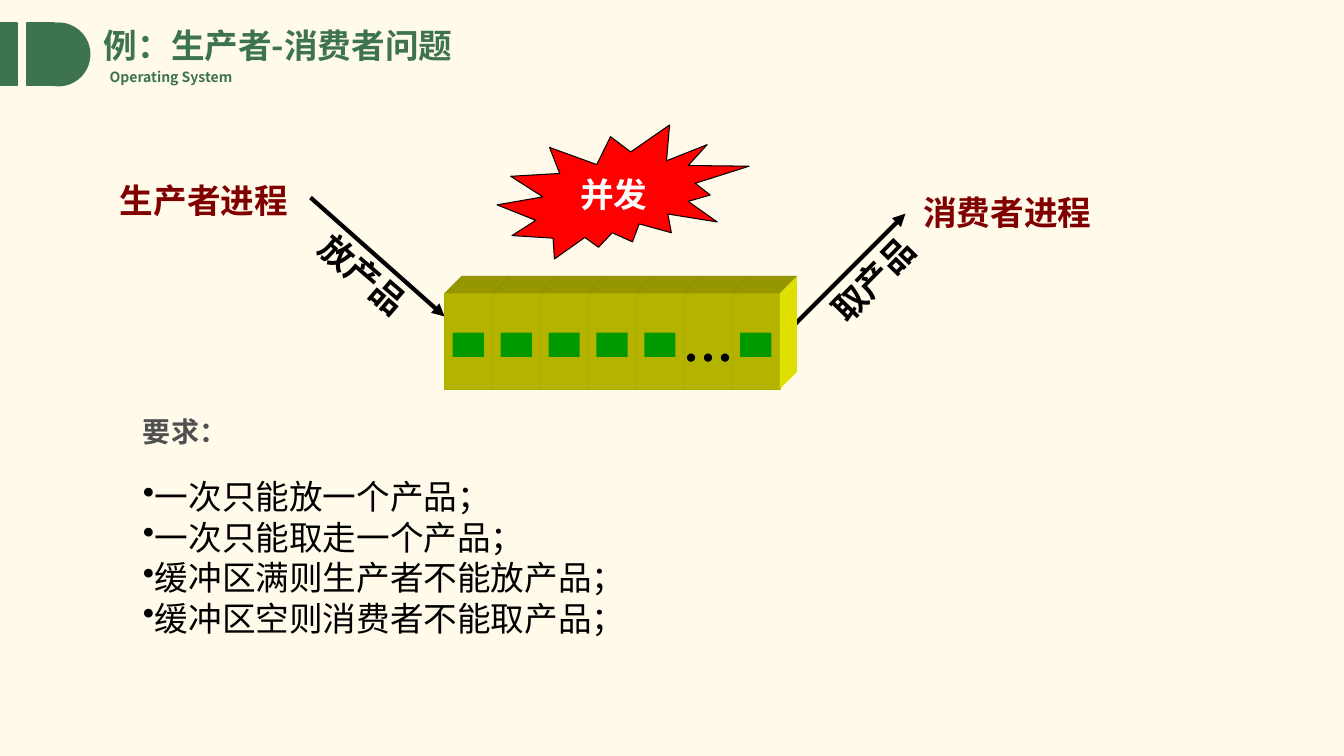
from pptx import Presentation
from pptx import util as u
from pptx.dml.color import RGBColor
from pptx.enum import shapes, text
from pptx.oxml.ns import qn
from lxml import etree

GREEN, BLACK, MAROON = "3D7351", "000000", "800000"
SANS, SERIF = "Noto Sans CJK SC", "Times New Roman"
KIND = shapes.MSO_SHAPE
LEFT, TOP, CELL, HIGH, DEPTH, COUNT = 4.41, 2.91, 0.475, 0.95, 0.17, 7
GAP = 5


def color(code):
    return RGBColor.from_string(code)


def paint(shape, fill, line=None, width=0.75):
    shape.shadow.inherit = False
    shape.fill.solid()
    shape.fill.fore_color.rgb = color(fill)
    if line:
        shape.line.color.rgb = color(line)
        shape.line.width = u.Pt(width)
    else:
        shape.line.fill.background()
    return shape


def block(slide, kind, box, fill, line=None, width=0.75):
    shape = slide.shapes.add_shape(kind, *map(u.Inches, box))
    return paint(shape, fill, line, width)


def face(slide, points, fill, line=None):
    """Draw a closed polygon."""
    spots = [(u.Inches(x), u.Inches(y)) for x, y in points]
    build = slide.shapes.build_freeform(*spots[0])
    build.add_line_segments(spots[1:], close=True)
    return paint(build.convert_to_shape(), fill, line, 0.25)


def write(para, words, size, font, code, bold=True):
    run = para.add_run()
    run.text = words
    run.font.size, run.font.name, run.font.bold = u.Pt(size), font, bold
    run.font.color.rgb = color(code)


def fill_in(shape, words, size, font, code, align=None, wrap=False):
    """Put one line of text in the middle of a shape."""
    frame = shape.text_frame
    frame.word_wrap = wrap
    frame.vertical_anchor = text.MSO_ANCHOR.MIDDLE
    para = frame.paragraphs[0]
    para.alignment = align
    write(para, words, size, font, code)


def label(slide, box, words, size, font, code, turn=0):
    shape = slide.shapes.add_textbox(*map(u.Inches, box))
    shape.rotation = turn
    fill_in(shape, words, size, font, code)


def arrow(slide, *ends):
    line = slide.shapes.add_connector(
        shapes.MSO_CONNECTOR.STRAIGHT, *map(u.Inches, ends))
    line.line.color.rgb = color(BLACK)
    line.line.width = u.Pt(3)
    etree.SubElement(line.line._get_or_add_ln(), qn("a:tailEnd"), type="triangle")
    etree.SubElement(line._element.spPr, qn("a:effectLst"))


def bullets(slide, box, lines):
    frame = slide.shapes.add_textbox(*map(u.Inches, box)).text_frame
    frame.word_wrap = True
    for i, words in enumerate(lines):
        para = frame.add_paragraph() if i else frame.paragraphs[0]
        para.level = 1
        props = para._p.get_or_add_pPr()
        props.set("marL", "0")
        props.set("indent", "0")
        etree.SubElement(props, qn("a:buChar"), char="•")
        para.line_spacing = u.Pt(29)
        write(para, words, 24, "Calibri", BLACK, False)


def header(slide):
    block(slide, KIND.RECTANGLE, (0, 0.23, 0.17, 0.62), GREEN, GREEN, 1)
    block(slide, KIND.RECTANGLE, (0.27, 0.23, 0.27, 0.62), GREEN, GREEN, 1)
    block(slide, KIND.OVAL, (0.27, 0.23, 0.62, 0.62), GREEN, GREEN, 1)
    label(slide, (0.99, 0.63, 1.47, 0.27), "Operating System", 10, SANS, GREEN)
    title = slide.shapes.title
    title.left, title.top = u.Inches(0.93), u.Inches(0.22)
    title.width, title.height = u.Inches(4.34), u.Inches(0.5)
    fill_in(title, "例：生产者-消费者问题", 24, SANS, GREEN,
            text.PP_ALIGN.LEFT, True)
    title.text_frame.paragraphs[0].line_spacing = 0.9


def buffer(slide):
    """Draw the row of cells as one long solid."""
    end, base, back = LEFT + COUNT * CELL, TOP + HIGH, TOP - DEPTH
    for i in range(COUNT):
        x = LEFT + i * CELL
        face(slide, [(x, TOP), (x + DEPTH, back), (x + CELL + DEPTH, back),
                     (x + CELL, TOP)], "969600", "858500")
        cell = block(slide, KIND.RECTANGLE, (x, TOP, CELL, HIGH),
                     "B4B400", "ABAB00", 0.25)
        if i == GAP:
            fill_in(cell, "…", 36, SERIF, BLACK, text.PP_ALIGN.CENTER)
        else:
            block(slide, KIND.RECTANGLE, (x + 0.08, 3.3, 0.31, 0.24), "009900")
    face(slide, [(end, TOP), (end + DEPTH, back), (end + DEPTH, base - DEPTH),
                 (end, base)], "E0E000")


def main():
    deck = Presentation()
    deck.slide_width, deck.slide_height = u.Inches(13.33), u.Inches(7.5)
    slide = deck.slides.add_slide(deck.slide_layouts[5])
    slide.background.fill.solid()
    slide.background.fill.fore_color.rgb = color("FFFAEA")
    header(slide)
    arrow(slide, 3.08, 1.96, 4.41, 3.14)
    arrow(slide, 7.8, 3.3, 8.98, 2.12)
    buffer(slide)
    label(slide, (3, 2.49, 1.26, 0.5), "放产品", 24, SERIF, BLACK, 40.8)
    label(slide, (8.05, 2.5, 1.26, 0.5), "取产品", 24, SERIF, BLACK, 314.4)
    label(slide, (1.09, 1.73, 1.89, 0.51), "生产者进程", 24, SERIF, MAROON)
    label(slide, (9.06, 1.85, 1.89, 0.51), "消费者进程", 24, SERIF, MAROON)
    burst = block(slide, KIND.EXPLOSION2, (4.93, 1.24, 2.5, 1.33),
                  "FF0000", BLACK)
    fill_in(burst, "并发", 24, SERIF, "FFFFFF", text.PP_ALIGN.CENTER, True)
    bullets(slide, (1.32, 4.67, 7.14, 1.72),
            ["一次只能放一个产品；", "一次只能取走一个产品；",
             "缓冲区满则生产者不能放产品；", "缓冲区空则消费者不能取产品；"])
    label(slide, (1.32, 4.06, 2.1, 0.44), "要求：", 20, SANS, "505050")
    deck.save("out.pptx")


if __name__ == "__main__":
    main()
